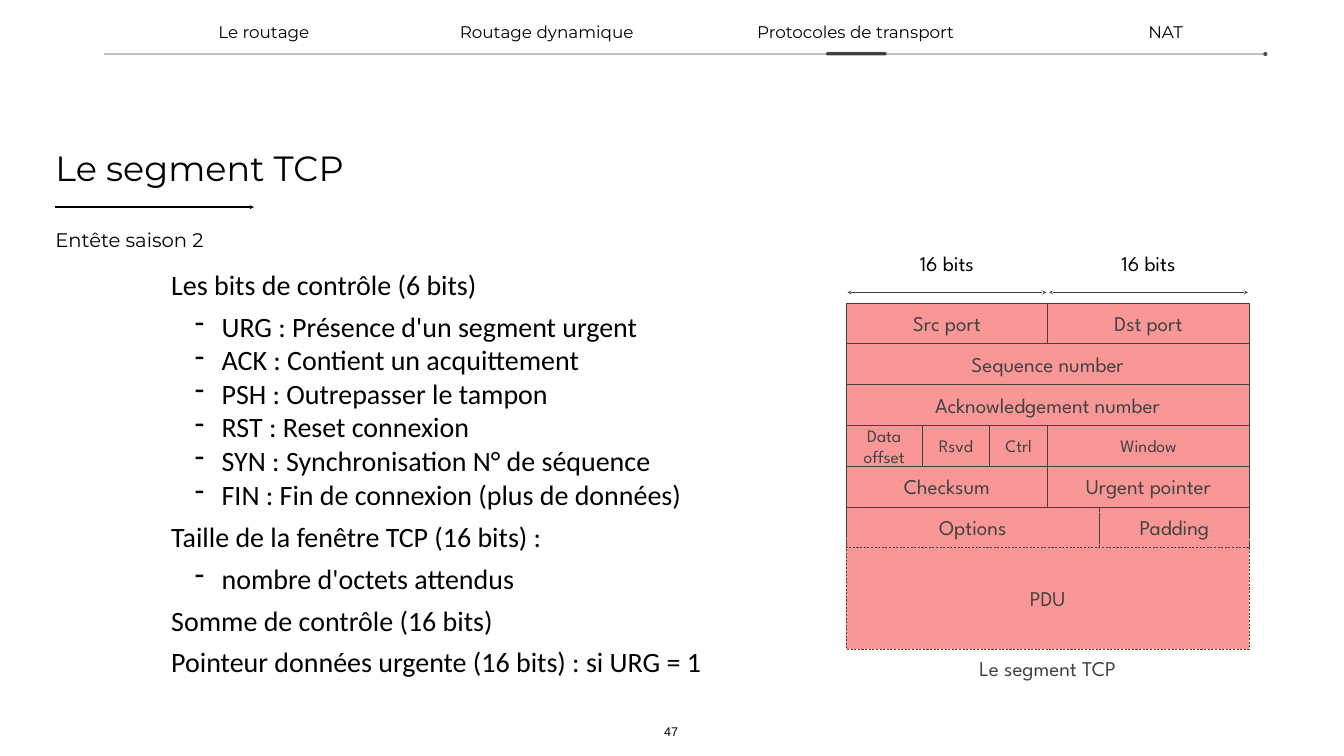
from lxml import etree
from pptx import Presentation
from pptx.dml.color import RGBColor
from pptx.enum import dml, shapes, text
from pptx.oxml import ns
from pptx.util import Pt

BLACK = RGBColor(0x00, 0x00, 0x00)
GREY = RGBColor(0x42, 0x42, 0x42)
PINK = RGBColor(0xF9, 0x97, 0x97)
LEFT, CENTER = text.PP_ALIGN.LEFT, text.PP_ALIGN.CENTER
TOP, MIDDLE, BOTTOM = (text.MSO_ANCHOR.TOP, text.MSO_ANCHOR.MIDDLE,
                       text.MSO_ANCHOR.BOTTOM)
DOT, DASH = dml.MSO_LINE.ROUND_DOT, dml.MSO_LINE.DASH

TABS = [("Le routage", 226, 302), ("Routage dynamique", 639, 284),
        ("Protocoles de transport", 1033, 379), ("NAT", 1523.5, 284)]

# (text, is bullet, space before)
NOTES = [
    ("Les bits de contrôle (6 bits)", False, 12),
    ("URG : Présence d'un segment urgent", True, 12),
    ("ACK : Contient un acquittement", True, 0),
    ("PSH : Outrepasser le tampon", True, 0),
    ("RST : Reset connexion", True, 0),
    ("SYN : Synchronisation N° de séquence", True, 0),
    ("FIN : Fin de connexion (plus de données)", True, 0),
    ("Taille de la fenêtre TCP (16 bits) :", False, 12),
    ("nombre d'octets attendus", True, 12),
    ("Somme de contrôle (16 bits)", False, 12),
    ("Pointeur données urgente (16 bits) : si URG = 1", False, 12),
]

# Back to front: (row, height, text size, dash, [(field, width)])
FIELDS = [
    (5, 59, 30, DOT, [("Options", 362), ("Padding", 214)]),
    (6, 146, 30, DASH, [("PDU", 576)]),
    (0, 59, 30, None, [("Src port", 288), ("Dst port", 288)]),
    (4, 59, 30, None, [("Checksum", 288), ("Urgent pointer", 288)]),
    (1, 59, 30, None, [("Sequence number", 576)]),
    (2, 59, 30, None, [("Acknowledgement number", 576)]),
    (3, 59, 25, None, [("Data offset", 108.7), ("Rsvd", 96.5),
                       ("Ctrl", 82.8), ("Window", 288)]),
]


def write(shape, words, size, font, color, align=CENTER, anchor=MIDDLE, inset=7.2):
    frame = shape.text_frame
    frame.text = words
    frame.word_wrap = True
    frame.vertical_anchor = anchor
    frame.margin_left = frame.margin_right = Pt(inset)
    frame.margin_top = frame.margin_bottom = Pt(inset)
    for paragraph in frame.paragraphs:
        paragraph.alignment = align
        for run in paragraph.runs:
            run.font.size, run.font.name = Pt(size), font
            run.font.color.rgb = color
    return frame


def add_label(parent, box, *args, **kwargs):
    return write(parent.add_textbox(*map(Pt, box)), *args, **kwargs)


def set_alpha(fill, percent):
    color = fill._xPr.find(".//" + ns.qn("a:srgbClr"))
    etree.SubElement(color, ns.qn("a:alpha"), val=str(percent * 1000))


def add_rule(parent, x1, x2, y, color, width, head=None, tail=None):
    rule = parent.add_connector(shapes.MSO_CONNECTOR.STRAIGHT,
                                Pt(x1), Pt(y), Pt(x2), Pt(y))
    rule.line.color.rgb = color
    rule.line.width = Pt(width)
    outline = rule.line._get_or_add_ln()
    for tag, kind in (("a:headEnd", head), ("a:tailEnd", tail)):
        if kind:
            etree.SubElement(outline, ns.qn(tag), type=kind)
    etree.SubElement(rule._element.spPr, ns.qn("a:effectLst"))
    return rule


def add_navigation(parent, left, top, width):
    # Baseline with an end dot
    rule = add_rule(parent, left, left + width, top + 50, BLACK, 1, tail="oval")
    set_alpha(rule.line.fill, 70)
    # Section names
    for name, x, tab_width in TABS:
        add_label(parent, (x, top, tab_width, 37.5), name, 24, "Montserrat",
                  BLACK, inset=4.3)
    # Marker of the current section
    marker = parent.add_shape(shapes.MSO_SHAPE.ROUNDED_RECTANGLE,
                              Pt(left + 1032), Pt(top + 47), Pt(86.4), Pt(5))
    marker.adjustments[0] = 0.5
    marker.shadow.inherit = False
    marker.fill.solid()
    marker.fill.fore_color.rgb = BLACK
    set_alpha(marker.fill, 69)
    marker.line.fill.background()


def add_heading(parent, left, top):
    add_label(parent, (left, top, 453, 68.4), "Le segment TCP", 50,
              "Montserrat", BLACK, LEFT, inset=4.3)
    add_rule(parent, left + 3, left + 288, top + 90.7, BLACK, 2, tail="triangle")
    add_label(parent, (left, top + 116, 230.4, 41.8), "Entête saison 2", 28,
              "Montserrat", BLACK, LEFT, inset=4.3)


def add_notes(parent, box):
    frame = add_label(parent, box, "\n".join(note[0] for note in NOTES), 40,
                      "Calibri", BLACK, LEFT, TOP)
    for paragraph, (_, bullet, before) in zip(frame.paragraphs, NOTES):
        paragraph.space_before = Pt(before)
        if bullet:
            props = paragraph._p.get_or_add_pPr()
            props.set("marL", str(Pt(72)))
            props.set("indent", str(Pt(-38.2)))
            etree.SubElement(props, ns.qn("a:buChar"), char="-")
    frame.paragraphs[-1].space_after = Pt(12)


def add_field(parent, box, name, size, dash):
    field = parent.add_shape(shapes.MSO_SHAPE.RECTANGLE, *map(Pt, box))
    field.shadow.inherit = False
    field.fill.solid()
    field.fill.fore_color.rgb = PINK
    field.line.color.rgb = GREY
    field.line.width = Pt(0.75)
    if dash:
        field.line.dash_style = dash
    write(field, name, size, "League Spartan", GREY)


def add_segment(parent, left, top, width):
    half, pitch, first_row = width / 2, 58.1, top + 82
    # Header fields
    for row, height, size, dash, fields in FIELDS:
        x = left
        for name, field_width in fields:
            add_field(parent, (x, first_row + row * pitch, field_width, height),
                      name, size, dash)
            x += field_width
    # Width marks
    for x in (left, left + half):
        add_rule(parent, x + 2, x + half - 2, top + 67, GREY, 0.75,
                 head="stealth", tail="stealth")
        add_label(parent, (x + 74.5, top, 139, 51), "16 bits", 30,
                  "League Spartan", BLACK, anchor=TOP)
    # Caption
    add_label(parent, (left + 84.6, top + 578, 406.8, 51), "Le segment TCP", 30,
              "League Spartan", GREY)


def main():
    deck = Presentation()
    deck.slide_width, deck.slide_height = Pt(1920.24), Pt(1080)
    slide = deck.slides.add_slide(deck.slide_layouts[6])
    add_heading(slide.shapes, 74.9, 205.2)
    # Page number
    add_label(slide.shapes, (944.6, 1030.3, 28.8, 30.2), "47", 18, "Arial", BLACK,
              anchor=BOTTOM, inset=4.3)
    add_navigation(slide.shapes, 148.3, 27.2, 1659.6)
    add_notes(slide.shapes, (237.6, 374.4, 1012.3, 609.8))
    add_segment(slide.shapes.add_group_shape().shapes, 1208.9, 350.7, 576)
    deck.save("out.pptx")


if __name__ == "__main__":
    main()
